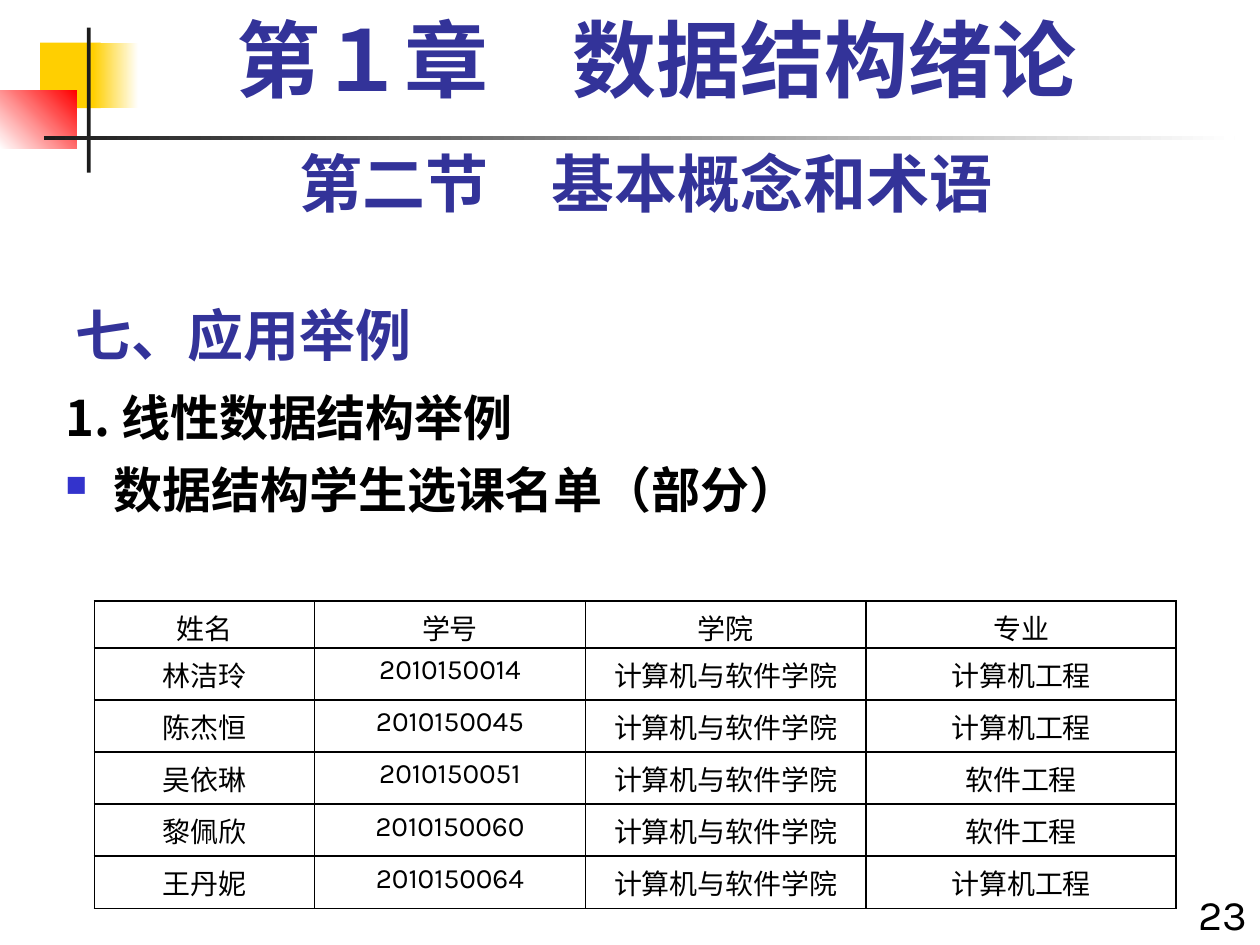
from dataclasses import dataclass

from lxml.etree import SubElement
from pptx import Presentation
from pptx.dml.color import RGBColor as Rgb
from pptx.enum.shapes import MSO_SHAPE as Shape
from pptx.enum.text import MSO_ANCHOR as Anchor, PP_ALIGN as Align
from pptx.oxml.ns import qn
from pptx.util import Cm, Pt


@dataclass(frozen=True)
class Theme:
    """Colours, fonts and type sizes of the deck."""
    ink: str = "000000"
    heading: str = "333399"
    bullet: str = "3333CC"
    gold: str = "FFCF01"
    red: str = "FF0000"
    rule: str = "1C1C1C"
    paper: str = "FFFFFF"
    sans: str = "Karla"
    serif: str = "Times New Roman"
    chinese: str = "Noto Sans CJK SC"
    chapter: int = 48
    section: int = 36
    title: int = 32
    body: int = 28
    number: int = 24
    cell: int = 16


class PageBuilder:
    """Draws styled elements on the current page."""

    def __init__(self, page, theme):
        self.page = page
        self.theme = theme

    def place(self, shape, left, top, width, height):
        """Position a shape in centimetres."""
        shape.left, shape.top = Cm(left), Cm(top)
        shape.width, shape.height = Cm(width), Cm(height)

    def style(self, para, size, face, color, bold=False, align=Align.LEFT):
        """Format a whole paragraph."""
        para.alignment = align
        font = para.font
        font.size, font.bold, font.name = Pt(size), bold, face
        font.color.rgb = Rgb.from_string(color)
        defaults = para._p.pPr.find(qn("a:defRPr"))
        SubElement(defaults, qn("a:ea"), typeface=self.theme.chinese)

    def block(self, box, colors, angle=0):
        """Add a plain rectangle with one colour or a two-colour gradient."""
        rect = self.page.shapes.add_shape(Shape.RECTANGLE, *map(Cm, box))
        rect.shadow.inherit = False
        rect.line.fill.background()
        if len(colors) == 1:
            rect.fill.solid()
            rect.fill.fore_color.rgb = Rgb.from_string(colors[0])
            return
        rect.fill.gradient()
        rect.fill.gradient_angle = angle
        for stop, color in zip(rect.fill.gradient_stops, colors):
            stop.color.rgb = Rgb.from_string(color)

    def title(self, text, box):
        """Fill and place the title placeholder."""
        title = self.page.shapes.title
        self.place(title, *box)
        frame = title.text_frame
        frame.text = text
        frame.vertical_anchor = Anchor.BOTTOM
        frame.margin_bottom = 0
        self.style(frame.paragraphs[0], self.theme.title, self.theme.chinese,
                   self.theme.heading, True)

    def text(self, text, box, size, face, color, bold=False,
             align=Align.LEFT, spacing=1.0):
        """Add a one-paragraph text box and return its frame."""
        frame = self.page.shapes.add_textbox(*map(Cm, box)).text_frame
        frame.word_wrap = True
        para = frame.paragraphs[0]
        para.text = text
        para.line_spacing = spacing
        self.style(para, size, face, color, bold, align)
        return frame

    def bullet(self, frame, text, spacing):
        """Append a square-bulleted paragraph to a body frame."""
        para = frame.add_paragraph()
        para.text = text
        para.line_spacing = spacing
        para.space_before = Pt(11)
        props = para._p.get_or_add_pPr()
        props.set("marL", str(Cm(0.97)))
        props.set("indent", str(-Cm(0.97)))
        tint = SubElement(props, qn("a:buClr"))
        SubElement(tint, qn("a:srgbClr"), val=self.theme.bullet)
        SubElement(props, qn("a:buSzPct"), val="60000")
        SubElement(props, qn("a:buChar"), char="■")
        self.style(para, self.theme.body, self.theme.chinese,
                   self.theme.ink, True)

    def border(self, cell):
        """Draw a thin line on all sides of a cell, below its fill in order."""
        props = cell._tc.get_or_add_tcPr()
        for index, side in enumerate(("lnL", "lnR", "lnT", "lnB")):
            line = SubElement(props, qn(f"a:{side}"), w=str(Pt(1)))
            fill = SubElement(line, qn("a:solidFill"))
            SubElement(fill, qn("a:srgbClr"), val=self.theme.ink)
            props.insert(index, line)

    def table(self, records, left, top, widths, heights):
        """Add a ruled table with centred text."""
        table = self.page.shapes.add_table(
            len(records), len(widths), Cm(left), Cm(top),
            Cm(sum(widths)), Cm(sum(heights))).table
        table.first_row = table.horz_banding = False
        for column, width in zip(table.columns, widths):
            column.width = Cm(width)
        for index, (row, height, record) in enumerate(
                zip(table.rows, heights, records)):
            row.height = Cm(height)
            for place, (cell, text) in enumerate(zip(row.cells, record)):
                cell.text = text
                cell.margin_bottom = 0
                cell.fill.background()
                self.border(cell)
                serif = index == 0 or place == 2
                self.style(cell.text_frame.paragraphs[0], self.theme.cell,
                           self.theme.serif if serif else self.theme.sans,
                           self.theme.ink, align=Align.CENTER)


def main():
    """Build and save the deck."""
    deck = Presentation()
    deck.slide_width, deck.slide_height = Cm(25.4), Cm(19.05)
    theme = Theme()
    page = PageBuilder(deck.slides.add_slide(deck.slide_layouts[5]), theme)

    page.block((0.81, 0.86, 1.22, 1.32), [theme.gold])
    page.block((1.88, 0.86, 0.91, 1.32), [theme.gold, theme.paper])
    page.block((0, 1.83, 1.55, 1.17), [theme.paper, theme.red], 45)
    page.block((1.75, 0.56, 0.08, 2.92), [theme.rule])
    page.block((0.89, 2.74, 24, 0.08), [theme.rule, theme.paper])

    page.title("七、应用举例", (1.27, 5.51, 21.87, 1.91))
    body = page.text("1. 线性数据结构举例", (1.07, 7.82, 24.33, 8.31),
                     theme.body, theme.chinese, theme.ink, True, spacing=0.9)
    page.bullet(body, "数据结构学生选课名单（部分）", 0.9)
    page.text("23", (23.7, 17.78, 1.7, 1.27), theme.number, theme.sans,
              theme.ink, align=Align.RIGHT)
    page.text("第二节　基本概念和术语", (1.27, 2.97, 23.5, 1.78), theme.section,
              theme.sans, theme.heading, True, Align.CENTER, 0.9)
    page.text("第１章　数据结构绪论", (1.7, 0.43, 23.06, 2.11), theme.chapter,
              theme.serif, theme.heading, True, Align.CENTER, 0.8)

    college = "计算机与软件学院"
    students = [
        ("林洁玲", "2010150014", "计算机工程"),
        ("陈杰恒", "2010150045", "计算机工程"),
        ("吴依琳", "2010150051", "软件工程"),
        ("黎佩欣", "2010150060", "软件工程"),
        ("王丹妮", "2010150064", "计算机工程"),
    ]
    records = [("姓名", "学号", "学院", "专业")]
    records += [(name, number, college, major)
                for name, number, major in students]
    page.table(records, 1.9, 12.12, (4.44, 5.46, 5.66, 6.25),
               [0.94] + [1.05] * len(students))
    deck.save("out.pptx")


if __name__ == "__main__":
    main()
